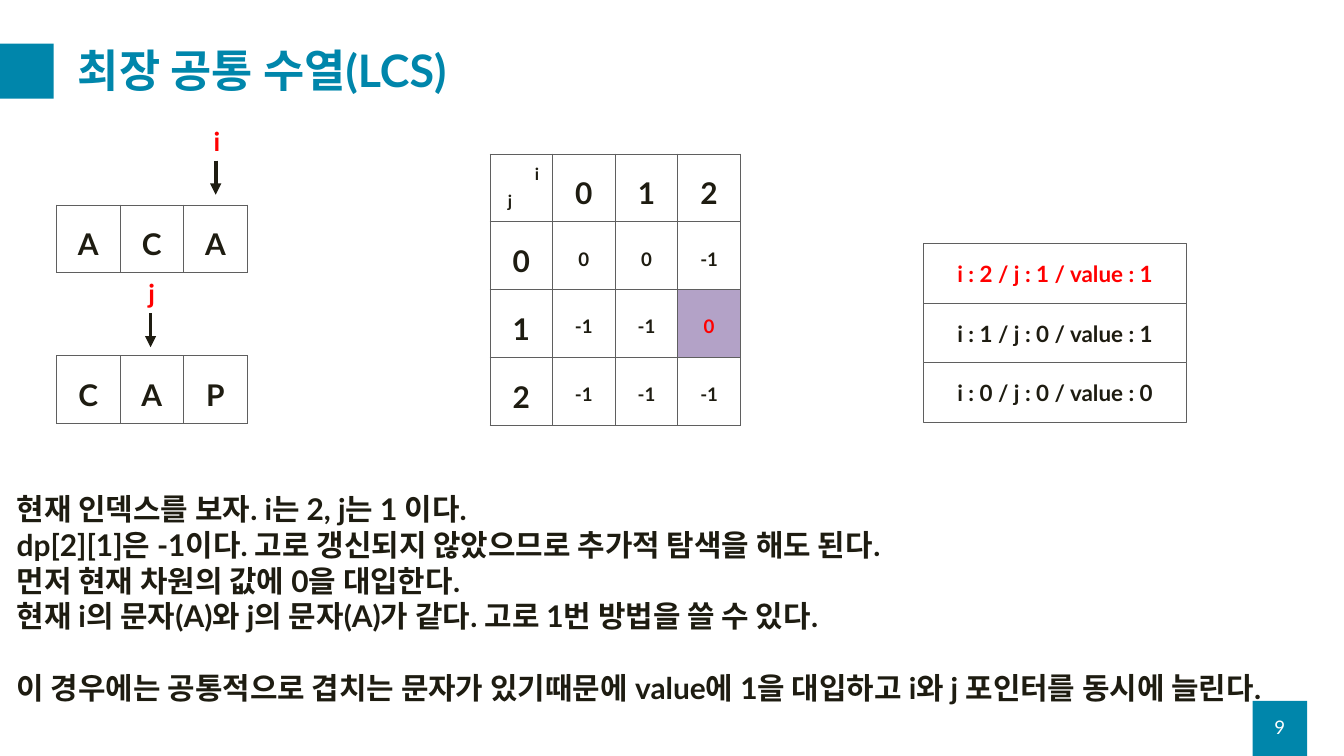
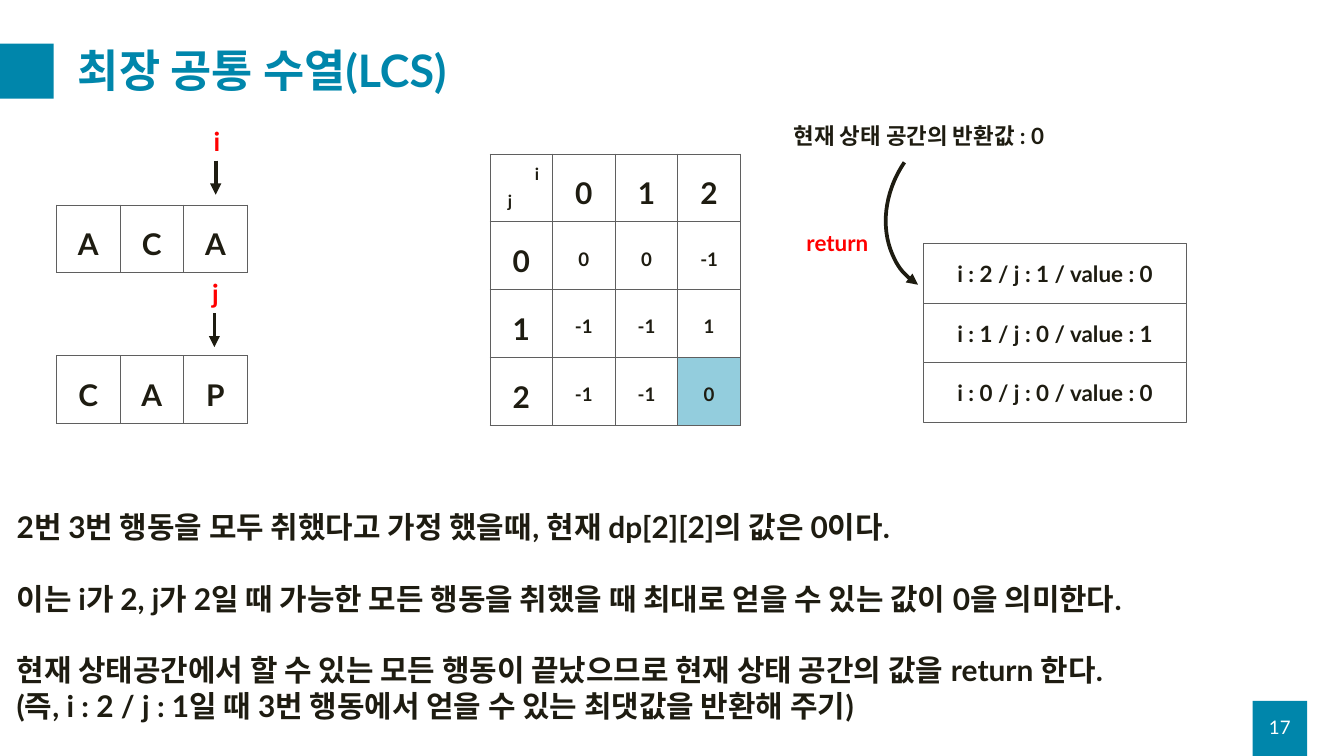
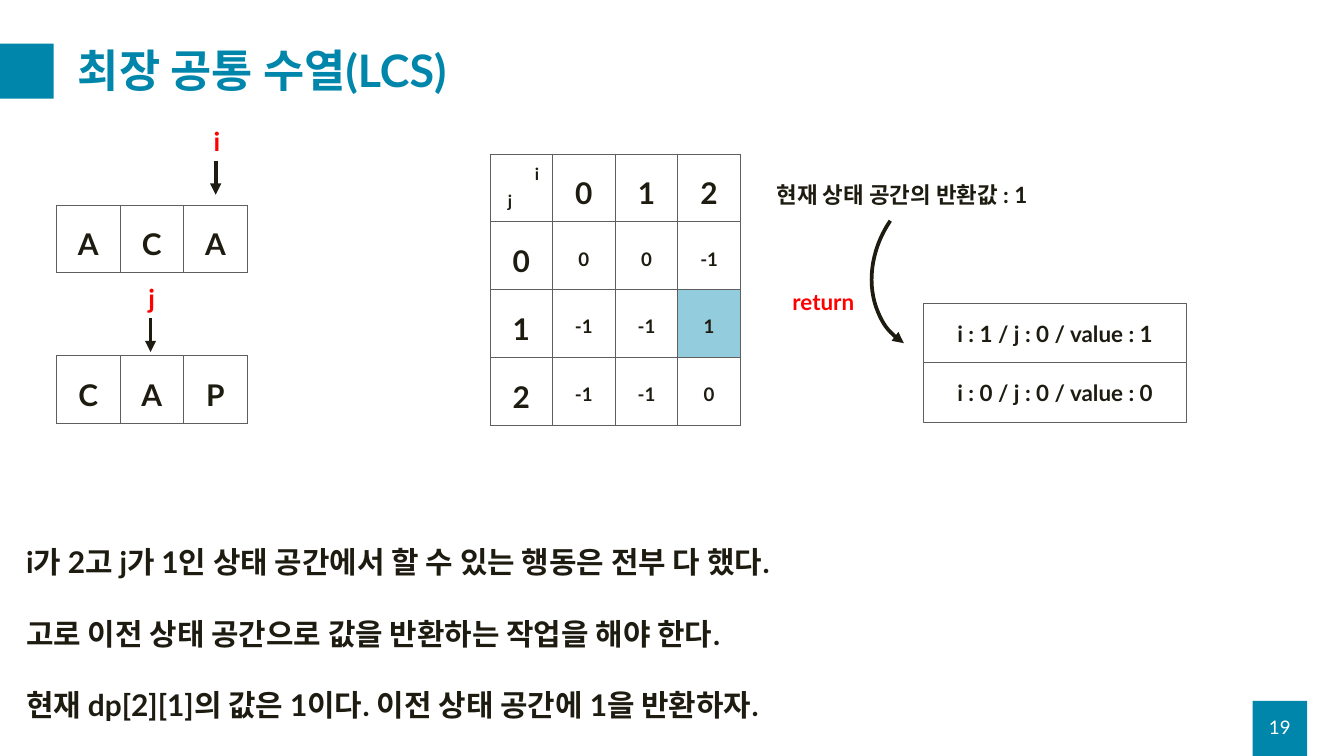
from lxml import etree
from pptx import Presentation
from pptx.dml.color import RGBColor
from pptx.enum.shapes import MSO_CONNECTOR, MSO_SHAPE
from pptx.enum.text import MSO_ANCHOR, MSO_AUTO_SIZE, PP_ALIGN
from pptx.oxml.ns import qn
from pptx.util import Pt

RECT, ARC, STRAIGHT = MSO_SHAPE.RECTANGLE, MSO_SHAPE.ARC, MSO_CONNECTOR.STRAIGHT
LEFT, CENTER = PP_ALIGN.LEFT, PP_ALIGN.CENTER
TOP, MIDDLE = MSO_ANCHOR.TOP, MSO_ANCHOR.MIDDLE
NO_AUTOFIT = MSO_AUTO_SIZE.NONE

TEAL = RGBColor(0x00, 0x86, 0xAB)
INK = RGBColor(0x1E, 0x1C, 0x11)
RED = RGBColor(0xFF, 0x00, 0x00)
WHITE = RGBColor(0xFF, 0xFF, 0xFF)
GREY = RGBColor(0x5F, 0x5F, 0x5F)
PURPLE = RGBColor(0xB3, 0xA2, 0xC7)
SKY = RGBColor(0x93, 0xCD, 0xDD)
FONT = "Lato"

# Content
TITLE = "최장 공통 수열(LCS)"
WORDS = [("ACA", 219.6), ("CAP", 380.9)]  # letters, top of the row

# pointers: name, x, y of the arrow's start
# highlight: row and column of the dp value, fill, text colour
# stack: calls from the bottom up, each with its text colour
# returned: text, its left edge, left and top of the curved arrow
# body: lines with True where an empty line's gap comes before
SLIDES = [
    {
        "number": "9",
        "pointers": [("i", 231.1, 172.1), ("j", 161.3, 335.5)],
        "dp": [["0", "0", "-1"], ["-1", "-1", "0"], ["-1", "-1", "-1"]],
        "highlight": (1, 2, PURPLE, RED),
        "stack": [("i : 0 / j : 0 / value : 0", INK),
                  ("i : 1 / j : 0 / value : 1", INK),
                  ("i : 2 / j : 1 / value : 1", RED)],
        "returned": None,
        "body_at": (10.8, 522, 278.6),
        "body": [
            ("현재 인덱스를 보자. i는 2, j는 1 이다.", False),
            ("dp[2][1]은 -1이다. 고로 갱신되지 않았으므로 추가적 탐색을 해도 된다.", False),
            ("먼저 현재 차원의 값에 0을 대입한다.", False),
            ("현재 i의 문자(A)와 j의 문자(A)가 같다. 고로 1번 방법을 쓸 수 있다.", False),
            ("이 경우에는 공통적으로 겹치는 문자가 있기때문에 value에 1을 대입하고 "
             "i와 j 포인터를 동시에 늘린다.", True),
        ],
    },
    {
        "number": "17",
        "pointers": [("i", 231.1, 172.1), ("j", 229.7, 335.5)],
        "dp": [["0", "0", "-1"], ["-1", "-1", "1"], ["-1", "-1", "0"]],
        "highlight": (2, 2, SKY, INK),
        "stack": [("i : 0 / j : 0 / value : 0", INK),
                  ("i : 1 / j : 0 / value : 1", INK),
                  ("i : 2 / j : 1 / value : 0", INK)],
        "returned": ("현재 상태 공간의 반환값 : 0", 843.1, 954, 122.4),
        "body_at": (10.8, 541.4, 239.8),
        "body": [
            ("2번 3번 행동을 모두 취했다고 가정 했을때, 현재 dp[2][2]의 값은 0이다.", False),
            ("이는 i가 2, j가 2일 때 가능한 모든 행동을 취했을 때 최대로 얻을 수 있는 "
             "값이 0을 의미한다.", True),
            ("현재 상태공간에서 할 수 있는 모든 행동이 끝났으므로 현재 상태 공간의 값을 "
             "return 한다.", True),
            ("(즉, i : 2 / j : 1일 때 3번 행동에서 얻을 수 있는 최댓값을 반환해 주기)", False),
        ],
    },
    {
        "number": "19",
        "pointers": [("i", 231.1, 172.1), ("j", 161.3, 340.6)],
        "dp": [["0", "0", "-1"], ["-1", "-1", "1"], ["-1", "-1", "0"]],
        "highlight": (1, 2, SKY, INK),
        "stack": [("i : 0 / j : 0 / value : 0", INK),
                  ("i : 1 / j : 0 / value : 1", INK)],
        "returned": ("현재 상태 공간의 반환값 : 1", 825.1, 938.9, 185),
        "body_at": (20.9, 578.9, 200.9),
        "body": [
            ("i가 2고 j가 1인 상태 공간에서 할 수 있는 행동은 전부 다 했다.", False),
            ("고로 이전 상태 공간으로 값을 반환하는 작업을 해야 한다.", True),
            ("현재 dp[2][1]의 값은 1이다. 이전 상태 공간에 1을 반환하자.", True),
        ],
    },
]

# Layout in points
WORD_LEFT, WORD_CELL = 60.5, 68.16
GRID_LEFT, GRID_TOP, GRID_CELL = 524.9, 164.9, 67.14
ROW_HEIGHT = 72.6
ARROW_LENGTH = 36.5
STACK_LEFT, STACK_BOTTOM, STACK_WIDTH, STACK_STEP = 989.3, 452.6, 282.2, 63.8
BODY_SIZE, LINE_HEIGHT = 32, 38.4


def add_span(para, text, size, color=INK, bold=True):
    span = para.add_run()
    span.text = text
    span.font.name, span.font.size, span.font.bold = FONT, Pt(size), bold
    span.font.color.rgb = color


def add_text(page, text, place, size, color=INK, bold=True, align=LEFT, anchor=TOP):
    box = page.shapes.add_textbox(*map(Pt, place))
    frame = box.text_frame
    frame.word_wrap, frame.vertical_anchor = True, anchor
    frame.paragraphs[0].alignment = align
    add_span(frame.paragraphs[0], text, size, color, bold)


def add_rect(page, place, fill, line=None):
    rect = page.shapes.add_shape(RECT, *map(Pt, place))
    rect.shadow.inherit = False
    rect.fill.solid()
    rect.fill.fore_color.rgb = fill
    if line is None:
        rect.line.fill.background()
    else:
        rect.line.color.rgb, rect.line.width = line, Pt(1)
    return rect


def style_arrow(shape, end):
    """Thick dark line with an arrowhead at headEnd or tailEnd."""
    shape.line.color.rgb, shape.line.width = INK, Pt(4)
    etree.SubElement(shape.line._get_or_add_ln(), qn("a:" + end), type="triangle")


def add_table(page, left, top, rows, cell_width):
    width, height = cell_width * len(rows[0]), ROW_HEIGHT * len(rows)
    table = page.shapes.add_table(len(rows), len(rows[0]), Pt(left), Pt(top),
                                  Pt(width), Pt(height)).table
    table.first_row = table.horz_banding = False
    for column in table.columns:
        column.width = Pt(cell_width)
    for r, row in enumerate(rows):
        table.rows[r].height = Pt(ROW_HEIGHT)
        for c, (text, size, spacing, color, fill) in enumerate(row):
            cell = table.cell(r, c)
            props = cell._tc.get_or_add_tcPr()
            for side in ("lnL", "lnR", "lnT", "lnB"):
                border = etree.SubElement(props, qn("a:" + side), w=str(Pt(1)))
                paint = etree.SubElement(border, qn("a:solidFill"))
                etree.SubElement(paint, qn("a:srgbClr"), val=str(GREY))
            cell.fill.solid()
            cell.fill.fore_color.rgb = fill
            if text:
                para = cell.text_frame.paragraphs[0]
                para.alignment, para.line_spacing = CENTER, spacing
                add_span(para, text, size, color)


def header_cell(text):
    return (text, 32, 1.5, INK, WHITE)


def add_frame(page, number):
    """Title, bands and page number."""
    add_rect(page, (1342.1, 751, 58.3, 59), TEAL)
    add_rect(page, (-0.7, 46.8, 58.3, 59), TEAL)
    title = page.shapes.title
    title.left, title.top, title.width, title.height = map(Pt, (76.3, 36, 1314, 85))
    frame = title.text_frame
    frame.auto_size, frame.vertical_anchor = NO_AUTOFIT, MIDDLE
    para = frame.paragraphs[0]
    para.alignment, para.line_spacing = LEFT, 0.9
    add_span(para, TITLE, 48, TEAL)
    add_text(page, number, (1342.1, 757.4, 58.3, 43.2), 20, WHITE, False, CENTER, MIDDLE)


def add_pointer(page, name, x, y):
    arrow = page.shapes.add_connector(STRAIGHT, Pt(x), Pt(y), Pt(x), Pt(y + ARROW_LENGTH))
    style_arrow(arrow, "tailEnd")
    etree.SubElement(arrow._element.spPr, qn("a:effectLst"))
    add_text(page, name, (x - 9.4, y - 41.8, 76.3, 41), 28, RED)


def add_dp_grid(page, values, highlight):
    lit_row, lit_column, lit_fill, lit_color = highlight
    rows = [[header_cell(text) for text in ("", "0", "1", "2")]]
    for r, line in enumerate(values):
        row = [header_cell(str(r))]
        for c, value in enumerate(line):
            lit = (r, c) == (lit_row, lit_column)
            row.append((value, 20, 2.0, lit_color if lit else INK, lit_fill if lit else WHITE))
        rows.append(row)
    add_table(page, GRID_LEFT, GRID_TOP, rows, GRID_CELL)
    add_text(page, "i", (565.9, 172.1, 76.3, 29), 18)
    add_text(page, "j", (537.1, 200.9, 76.3, 29), 18)


def add_stack(page, calls):
    for level, (text, color) in enumerate(calls, start=1):
        top = STACK_BOTTOM - level * STACK_STEP
        rect = add_rect(page, (STACK_LEFT, top, STACK_WIDTH, STACK_STEP), WHITE, GREY)
        rect.text_frame.vertical_anchor = MIDDLE
        para = rect.text_frame.paragraphs[0]
        para.alignment = CENTER
        add_span(para, text, 24, color)


def add_return(page, text, text_left, left, top):
    arc = page.shapes.add_shape(ARC, Pt(left), Pt(top), Pt(164.9), Pt(198))
    arc.adjustments[0], arc.adjustments[1] = 162, 1.7
    arc.rotation = 212.3
    arc.shadow.inherit = False
    arc.fill.background()
    style_arrow(arc, "headEnd")
    add_text(page, text, (text_left, top + 5, 316, 36), 24)
    add_text(page, "return", (left - 97, top + 120, 94.3, 36), 24, RED)


def add_body(page, lines, left, top, height):
    box = page.shapes.add_textbox(Pt(left), Pt(top), Pt(1379.5), Pt(height))
    frame = box.text_frame
    frame.word_wrap = True
    for index, (text, gap) in enumerate(lines):
        para = frame.add_paragraph() if index else frame.paragraphs[0]
        if gap:
            para.space_before = Pt(LINE_HEIGHT)
        add_span(para, text, BODY_SIZE)


def main():
    deck = Presentation()
    deck.slide_width, deck.slide_height = Pt(1440), Pt(810)
    title_only = deck.slide_layouts[5]
    for content in SLIDES:
        page = deck.slides.add_slide(title_only)
        add_frame(page, content["number"])
        add_body(page, content["body"], *content["body_at"])
        for word, top in WORDS:
            add_table(page, WORD_LEFT, top, [[header_cell(letter) for letter in word]], WORD_CELL)
        add_dp_grid(page, content["dp"], content["highlight"])
        for pointer in content["pointers"]:
            add_pointer(page, *pointer)
        add_stack(page, content["stack"])
        if content["returned"]:
            add_return(page, *content["returned"])
    deck.save("out.pptx")


if __name__ == "__main__":
    main()
